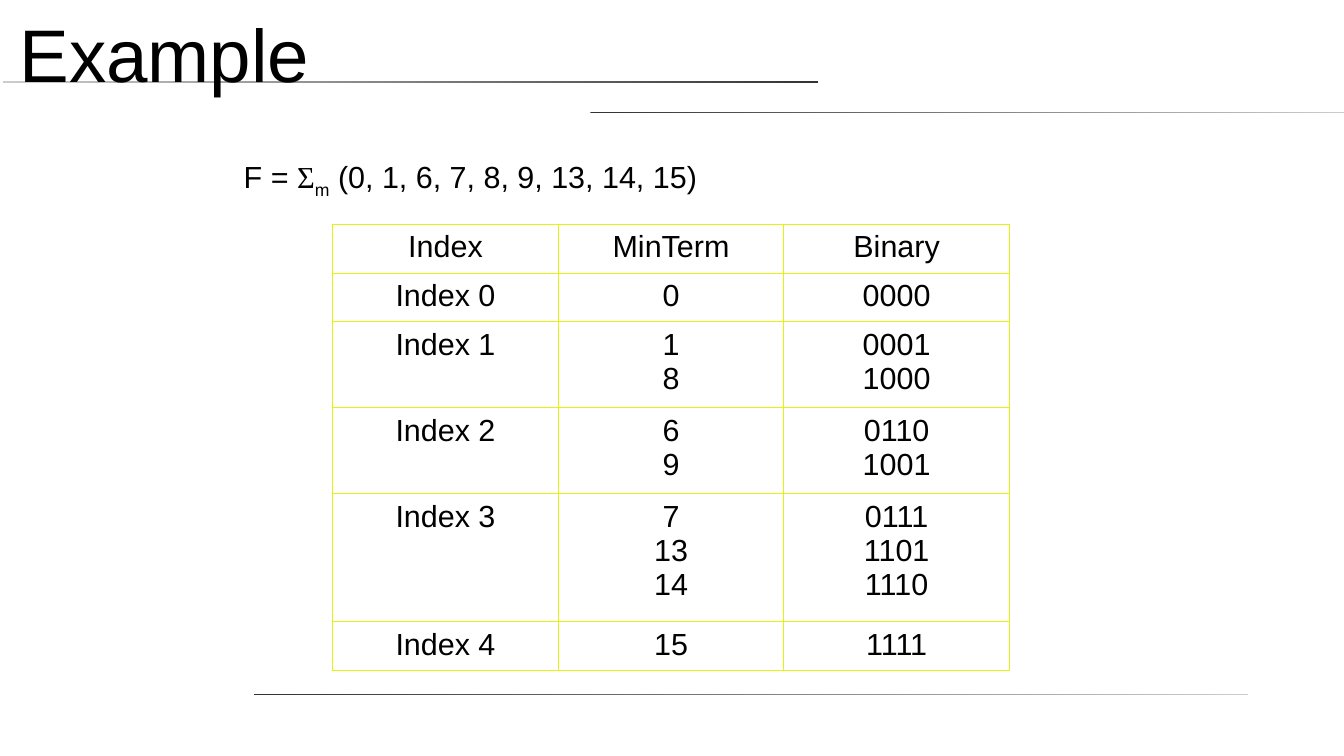
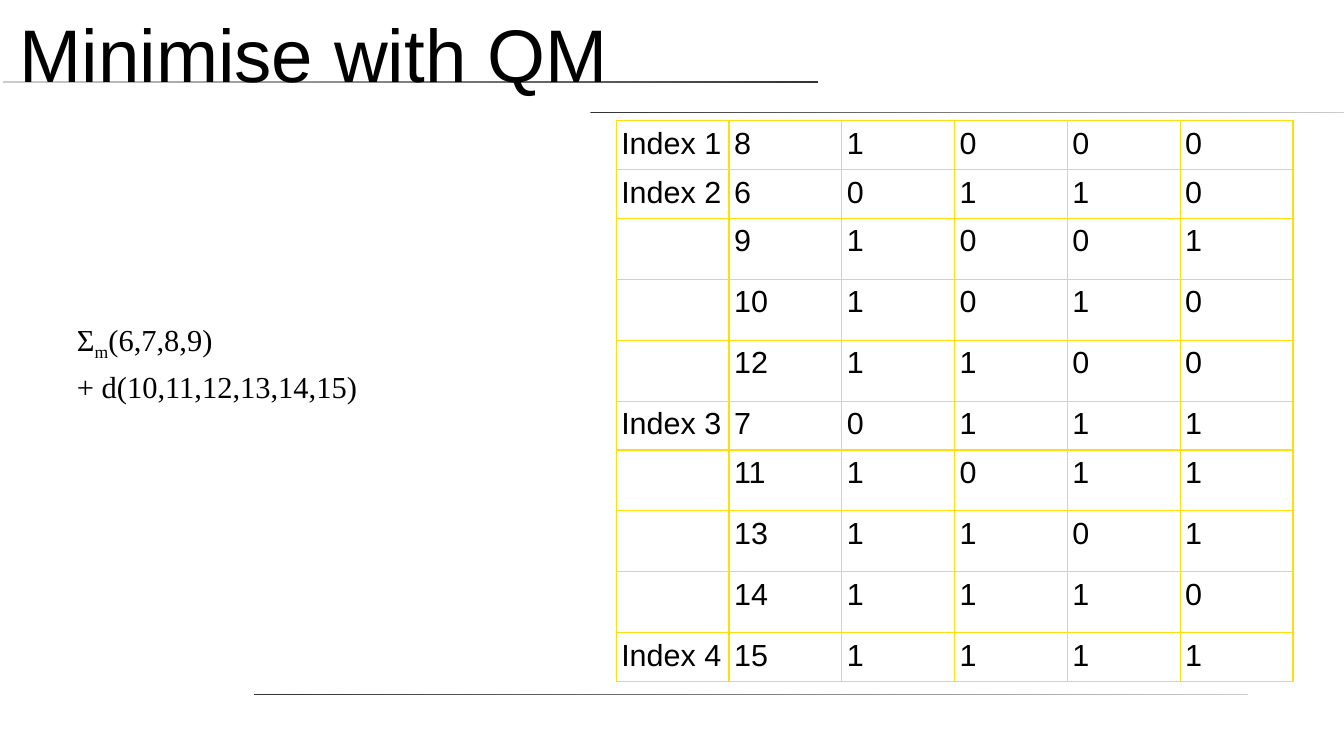
from collections import defaultdict

from lxml.etree import SubElement
from pptx import Presentation
from pptx.dml.color import RGBColor
from pptx.enum.shapes import MSO_SHAPE
from pptx.enum.text import MSO_ANCHOR, PP_ALIGN
from pptx.oxml import parse_xml
from pptx.oxml.ns import nsdecls, qn
from pptx.util import Pt

BLACK = RGBColor(0x00, 0x00, 0x00)
PALE = RGBColor(0xCC, 0xCC, 0xCC)
DARK = RGBColor(0x33, 0x33, 0x33)
LIME = RGBColor(0xE1, 0xF5, 0x0C)
YELLOW = RGBColor(0xFE, 0xDF, 0x0E)
SANS = "Arial"
SERIF = "Times New Roman"
BODY_SIZE = 18
ROW_HEIGHT = 28.8
TITLE_BOX = (11.5, 5.8, 751, 51)
RULES = [
    ((1.6, 47.6, 481.6, 1.3), PALE, DARK),
    ((348.6, 66.1, 446.4, 0.7), DARK, PALE),
    ((149.8, 409.6, 587.2, 0.7), DARK, PALE),
]


def in_points(box):
    return [Pt(length) for length in box]


def style_paragraph(paragraph, size=BODY_SIZE, face=SANS, align=PP_ALIGN.LEFT):
    paragraph.alignment = align
    paragraph.font.size = Pt(size)
    paragraph.font.name = face
    paragraph.font.color.rgb = BLACK


def set_insets(frame, horizontal, vertical):
    frame.margin_left = frame.margin_right = Pt(horizontal)
    frame.margin_top = frame.margin_bottom = Pt(vertical)


def add_rules(slide):
    layout_tree = slide.slide_layout.shapes.element
    for number, (box, start, end) in enumerate(RULES, 20):
        rule = slide.shapes.add_shape(MSO_SHAPE.RECTANGLE, *in_points(box))
        rule.shadow.inherit = False
        rule.line.fill.background()
        rule.fill.gradient()
        rule.fill.gradient_angle = 0
        for stop, color in zip(rule.fill.gradient_stops, (start, end)):
            stop.color.rgb = color
        rule.element.nvSpPr.cNvPr.set("id", str(number))
        layout_tree.append(rule.element)


def add_titled_slide(deck, heading):
    slide = deck.slides.add_slide(deck.slide_layouts[5])
    title = slide.shapes.title
    title.left, title.top, title.width, title.height = in_points(TITLE_BOX)
    frame = title.text_frame
    frame.text = heading
    frame.vertical_anchor = MSO_ANCHOR.MIDDLE
    set_insets(frame, 0, 0)
    style_paragraph(frame.paragraphs[0], 44)
    return slide


def add_formula(slide, box, lines, insets=(0, 0), space_before=0):
    frame = slide.shapes.add_textbox(*in_points(box)).text_frame
    frame.word_wrap = True
    set_insets(frame, *insets)
    for position, pieces in enumerate(lines):
        paragraph = frame.add_paragraph() if position else frame.paragraphs[0]
        style_paragraph(paragraph, face=pieces[0][1])
        paragraph.space_before = Pt(space_before)
        for words, face, subscript in pieces:
            run = paragraph.add_run()
            run.text = words
            run.font.name = face
            if subscript:
                run.font.size = Pt(BODY_SIZE)
                run._r.get_or_add_rPr().set("baseline", "-25000")


def set_borders(cell, color):
    properties = cell._tc.get_or_add_tcPr()
    for position, side in enumerate(("lnL", "lnR", "lnT", "lnB")):
        border = parse_xml(f'<a:{side} {nsdecls("a")} w="{Pt(0.75)}"/>')
        fill = SubElement(border, qn("a:solidFill"))
        SubElement(fill, qn("a:srgbClr"), val=str(color))
        properties.insert(position, border)


def add_grid(slide, left, top, column_width, heights, rows, color, align):
    box = (left, top, column_width * len(rows[0]), sum(heights))
    grid = slide.shapes.add_table(len(rows), len(rows[0]), *in_points(box)).table
    grid.first_row = grid.horz_banding = False
    for column in grid.columns:
        column.width = Pt(column_width)
    for row, height, entries in zip(grid.rows, heights, rows):
        row.height = Pt(height)
        for cell, entry in zip(row.cells, entries):
            set_borders(cell, color)
            cell.fill.background()
            set_insets(cell, 3, 3.6)
            cell.text_frame.text = entry
            for paragraph in cell.text_frame.paragraphs:
                style_paragraph(paragraph, align=align)


def group_by_ones(minterms):
    groups = defaultdict(list)
    for minterm in sorted(minterms):
        groups[f"{minterm:04b}".count("1")].append(minterm)
    return sorted(groups.items())


def build_example(deck):
    slide = add_titled_slide(deck, "Example")
    add_rules(slide)
    add_formula(
        slide,
        (136.8, 90, 320, 33),
        [[
            ("F = ", SANS, False),
            ("Σ", SERIF, False),
            ("m", SANS, True),
            (" (0, 1, 6, 7, 8, 9, 13, 14, 15)", SANS, False),
        ]],
        insets=(7.2, 3.6),
    )
    row_heights = {1: ROW_HEIGHT, 2: 50.8, 3: 75.6}
    rows = [("Index", "MinTerm", "Binary")]
    heights = [ROW_HEIGHT]
    for ones, group in group_by_ones([0, 1, 6, 7, 8, 9, 13, 14, 15]):
        minterms = [m for m in group if m != 9 or ones == 2]
        shown = [8 if m == 8 else m for m in minterms]
        rows.append((
            f"Index {ones}",
            "\n".join(str(m) for m in shown),
            "\n".join(f"{m:04b}" for m in shown),
        ))
        heights.append(row_heights[len(shown)])
    add_grid(slide, 196.4, 132.4, 133.2, heights, rows, LIME, PP_ALIGN.CENTER)


def build_minimise(deck):
    slide = add_titled_slide(deck, "Minimise with QM")
    add_formula(
        slide,
        (45.4, 189.4, 190, 47),
        [
            [("Σ", SERIF, False), ("m", SERIF, True), ("(6,7,8,9)", SERIF, False)],
            [("+ d(10,11,12,13,14,15)", SERIF, False)],
        ],
        space_before=3.6,
    )
    rows, heights = [], []
    for ones, group in group_by_ones(range(6, 16)):
        for position, minterm in enumerate(group):
            label = "" if position else f"Index {ones}"
            rows.append((label, str(minterm), *f"{minterm:04b}"))
            heights.append(36 if position else ROW_HEIGHT)
    add_grid(slide, 363.8, 71.2, 66.6, heights, rows, YELLOW, PP_ALIGN.LEFT)


def main():
    deck = Presentation()
    deck.slide_width, deck.slide_height = Pt(793.44), Pt(446.4)
    build_example(deck)
    build_minimise(deck)
    deck.save("out.pptx")


if __name__ == "__main__":
    main()
